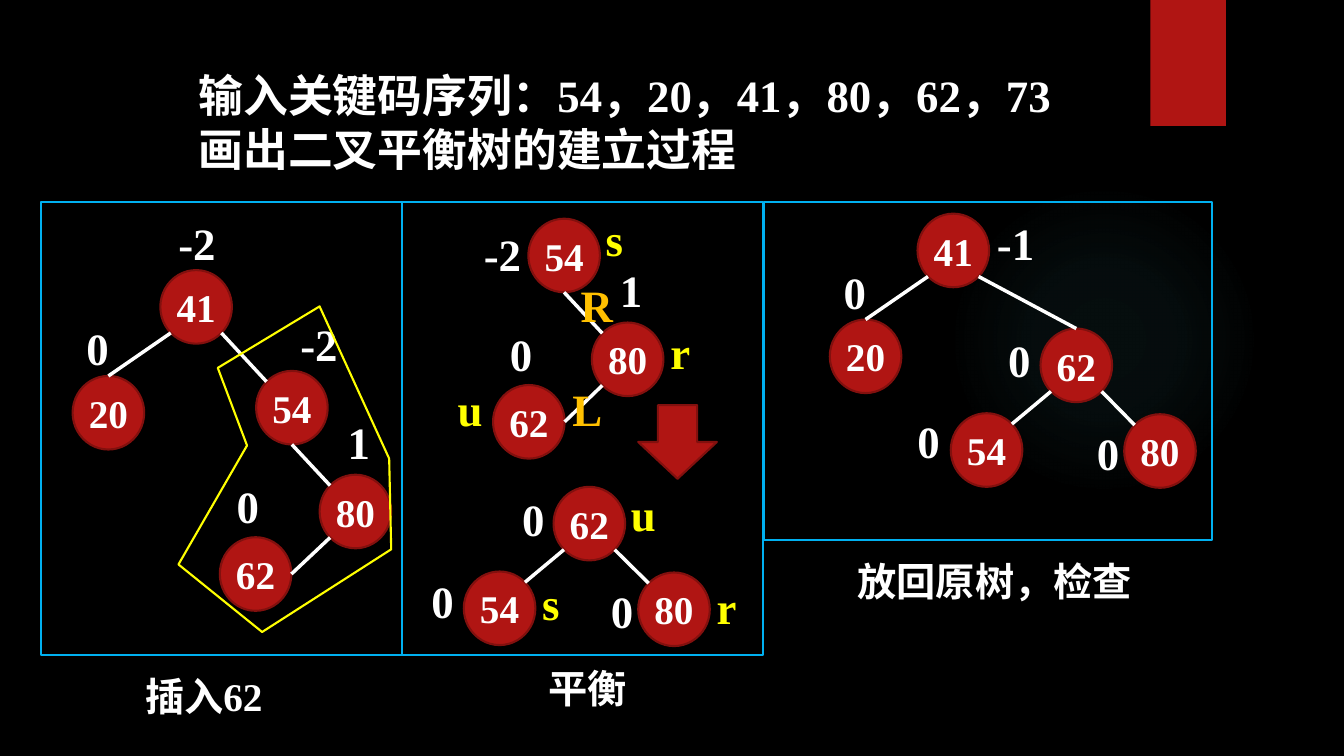
from dataclasses import dataclass
from enum import Enum
from typing import NamedTuple

from lxml import etree
from pptx import Presentation
from pptx import util as u
from pptx.dml.color import RGBColor
from pptx.enum import shapes, text
from pptx.oxml import ns

PX = 9144  # 100 px to the inch


@dataclass(frozen=True)
class Theme:
    font: str = "Times New Roman"
    background: str = "000000"
    white: str = "FFFFFF"
    red: str = "B01513"
    dark_red: str = "82100E"
    frame: str = "00B0F0"
    yellow: str = "FFFF00"
    orange: str = "FFC000"
    glow: str = "50B9C1"
    large: int = 32
    small: int = 28
    thin: float = 1.5
    thick: float = 2.5


THEME = Theme()
NODE_W, NODE_H = 71, 73
LABEL_W, LABEL_H = 66, 66
DIAGONAL = 0.354  # half of cos 45°


class Site(Enum):
    """Points on a node's rim, as fractions of its width and height."""
    TOP = (0.5, 0)
    BOTTOM = (0.5, 1)
    RIGHT = (1, 0.5)
    TOP_LEFT = (0.5 - DIAGONAL, 0.5 - DIAGONAL)
    TOP_RIGHT = (0.5 + DIAGONAL, 0.5 - DIAGONAL)
    BOTTOM_LEFT = (0.5 - DIAGONAL, 0.5 + DIAGONAL)
    BOTTOM_RIGHT = (0.5 + DIAGONAL, 0.5 + DIAGONAL)


class Box(NamedTuple):
    left: int
    top: int
    width: int
    height: int


class Edge(NamedTuple):
    parent: str
    start: Site
    child: str
    end: Site


class Label(NamedTuple):
    words: str
    left: int
    top: int
    color: str = THEME.white


class Caption(NamedTuple):
    words: str
    box: Box
    align: text.PP_ALIGN = text.PP_ALIGN.CENTER


@dataclass(frozen=True)
class Tree:
    nodes: dict[str, tuple[int, int]]
    edges: tuple[Edge, ...]
    labels: tuple[Label, ...]


@dataclass(frozen=True)
class Panel:
    frame: Box
    caption: Caption
    trees: tuple[Tree, ...]


LEFT_CHILD = (Site.BOTTOM_LEFT, Site.TOP_RIGHT)
RIGHT_CHILD = (Site.BOTTOM_RIGHT, Site.TOP_LEFT)


def edge(parent: str, child: str, sites: tuple[Site, Site]) -> Edge:
    return Edge(parent, sites[0], child, sites[1])


ROOT_TO_20 = edge("41", "20", (Site.BOTTOM_LEFT, Site.TOP))
ZIGZAG = (edge("54", "80", (Site.BOTTOM, Site.TOP_LEFT)),
          edge("80", "62", (Site.BOTTOM_LEFT, Site.RIGHT)))
BALANCED = (edge("62", "54", LEFT_CHILD), edge("62", "80", RIGHT_CHILD))

PANELS = (
    Panel(Box(41, 200, 358, 450),
          Caption("插入62", Box(134, 662, 154, 59), text.PP_ALIGN.LEFT),
          (Tree({"41": (159, 268), "20": (72, 373), "54": (254, 368),
                 "80": (317, 471), "62": (218, 533)},
                (ROOT_TO_20, edge("41", "54", RIGHT_CHILD), *ZIGZAG),
                (Label("0", 76, 313), Label("-2", 167, 209), Label("-2", 288, 309),
                 Label("1", 335, 407), Label("0", 225, 470))),)),
    Panel(Box(399, 200, 358, 450),
          Caption("平衡", Box(388, 654, 389, 57)),
          (Tree({"54": (524, 217), "80": (587, 320), "62": (489, 382)},
                ZIGZAG,
                (Label("-2", 470, 220), Label("1", 605, 256), Label("0", 496, 319),
                 Label("s", 591, 205, THEME.yellow), Label("r", 655, 317, THEME.yellow),
                 Label("u", 444, 374, THEME.yellow), Label("L", 558, 374, THEME.orange),
                 Label("R", 566, 271, THEME.orange))),
           Tree({"62": (549, 483), "80": (633, 568), "54": (460, 567)},
                BALANCED,
                (Label("0", 508, 483), Label("0", 418, 564), Label("0", 596, 574),
                 Label("s", 528, 566, THEME.yellow), Label("r", 701, 570, THEME.yellow),
                 Label("u", 616, 478, THEME.yellow))))),
    Panel(Box(758, 200, 444, 336),
          Caption("放回原树，检查", Box(792, 548, 389, 57)),
          (Tree({"41": (910, 212), "20": (823, 317), "62": (1032, 326),
                 "80": (1115, 411), "54": (943, 410)},
                (ROOT_TO_20, edge("41", "62", (Site.BOTTOM_RIGHT, Site.TOP)), *BALANCED),
                (Label("0", 827, 258), Label("-1", 979, 209), Label("0", 990, 325),
                 Label("0", 900, 406), Label("0", 1078, 417))),)),
)
UNBALANCED = ((216, 365), (317, 304), (386, 455), (388, 545),
              (260, 627), (177, 560), (245, 442))


def emu(box: Box) -> list[int]:
    return [length * PX for length in box]


def paint(shape, fill: str | None, line: str | None) -> None:
    shape.shadow.inherit = False
    if fill:
        shape.fill.solid()
        shape.fill.fore_color.rgb = RGBColor.from_string(fill)
    else:
        shape.fill.background()
    if line:
        shape.line.color.rgb = RGBColor.from_string(line)
        shape.line.width = u.Pt(THEME.thin)
    else:
        shape.line.fill.background()


def write(shape, words: str, size: int, color: str, align: text.PP_ALIGN) -> None:
    shape.text_frame.text = words
    para = shape.text_frame.paragraphs[0]
    para.alignment = align
    for span in para.runs:
        span.font.name = THEME.font
        span.font.size = u.Pt(size)
        span.font.bold = True
        span.font.color.rgb = RGBColor.from_string(color)


def add_shape(target, kind: shapes.MSO_SHAPE, box: Box,
              fill: str | None = None, line: str | None = None):
    shape = target.add_shape(kind, *emu(box))
    paint(shape, fill, line)
    return shape


def add_text(target, words: str, box: Box, size: int, color: str = THEME.white,
             align: text.PP_ALIGN = text.PP_ALIGN.LEFT) -> None:
    shape = target.add_textbox(*emu(box))
    shape.text_frame.word_wrap = True
    shape.text_frame.auto_size = text.MSO_AUTO_SIZE.SHAPE_TO_FIT_TEXT
    write(shape, words, size, color, align)


def add_node(target, key: str, left: int, top: int) -> None:
    node = add_shape(target, shapes.MSO_SHAPE.OVAL, Box(left, top, NODE_W, NODE_H),
                     THEME.red, THEME.dark_red)
    frame = node.text_frame
    frame.margin_left = frame.margin_right = 0
    frame.vertical_anchor = text.MSO_ANCHOR.MIDDLE
    write(node, key, THEME.small, THEME.white, text.PP_ALIGN.CENTER)


def rim(corner: tuple[int, int], site: Site) -> tuple[int, int]:
    across, down = site.value
    return round((corner[0] + across * NODE_W) * PX), round((corner[1] + down * NODE_H) * PX)


def add_tree(target, tree: Tree) -> None:
    for key, corner in tree.nodes.items():
        add_node(target, key, *corner)
    for link in tree.edges:
        line = target.add_connector(shapes.MSO_CONNECTOR.STRAIGHT,
                                    *rim(tree.nodes[link.parent], link.start),
                                    *rim(tree.nodes[link.child], link.end))
        line.line.color.rgb = RGBColor.from_string(THEME.white)
        line.line.width = u.Pt(THEME.thick)
        etree.SubElement(line._element.spPr, ns.qn("a:effectLst"))
    for label in tree.labels:
        add_text(target, label.words, Box(label.left, label.top, LABEL_W, LABEL_H),
                 THEME.large, label.color)


def add_glow(target, box: Box) -> None:
    glow = add_shape(target, shapes.MSO_SHAPE.OVAL, box)
    stops = "".join(f'<a:gs pos="{place * 1000}"><a:srgbClr val="{THEME.glow}">'
                    f'<a:alpha val="{alpha * 1000}"/></a:srgbClr></a:gs>'
                    for place, alpha in ((0, 7), (36, 6), (69, 0)))
    gradient = etree.fromstring(
        f'<a:gradFill {ns.nsdecls("a")}><a:gsLst>{stops}</a:gsLst><a:path path="circle">'
        '<a:fillToRect l="50000" t="50000" r="50000" b="50000"/></a:path></a:gradFill>')
    properties = glow._element.spPr
    properties.replace(properties.find(ns.qn("a:noFill")), gradient)


def main() -> None:
    deck = Presentation()
    deck.slide_width, deck.slide_height = 1333 * PX, 750 * PX
    page = deck.slides.add_slide(deck.slide_layouts[6])
    page.background.fill.solid()
    page.background.fill.fore_color.rgb = RGBColor.from_string(THEME.background)

    # Backdrop and title
    add_glow(page.shapes, Box(941, 183, 308, 308))
    add_shape(page.shapes, shapes.MSO_SHAPE.RECTANGLE, Box(1141, 0, 75, 125), THEME.red)
    add_text(page.shapes, "输入关键码序列：54，20，41，80，62，73画出二叉平衡树的建立过程",
             Box(187, 62, 899, 118), THEME.large)

    # One group per step
    for panel in PANELS:
        group = page.shapes.add_group_shape().shapes
        add_shape(group, shapes.MSO_SHAPE.RECTANGLE, panel.frame, line=THEME.frame)
        for tree in panel.trees:
            add_tree(group, tree)
        add_text(group, panel.caption.words, panel.caption.box, THEME.small,
                 align=panel.caption.align)

    # Unbalanced subtree outline and rotation arrow
    outline = page.shapes.build_freeform(*UNBALANCED[0], scale=PX)
    outline.add_line_segments(UNBALANCED[1:], close=True)
    paint(outline.convert_to_shape(), None, THEME.yellow)
    add_shape(page.shapes, shapes.MSO_SHAPE.DOWN_ARROW, Box(633, 402, 78, 73),
              THEME.red, THEME.dark_red)

    deck.save("out.pptx")


if __name__ == "__main__":
    main()
